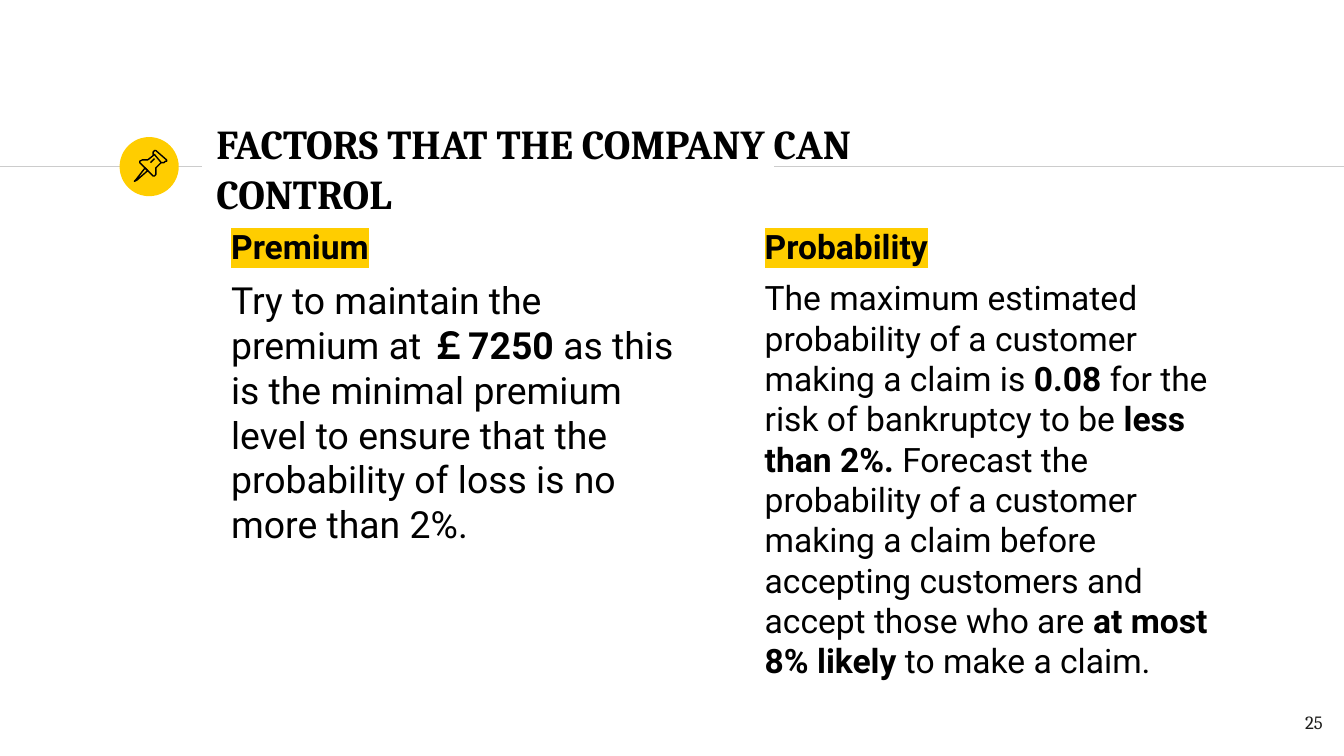
from lxml.etree import SubElement
from pptx import Presentation
from pptx.dml.color import RGBColor
from pptx.enum.shapes import MSO_CONNECTOR, MSO_SHAPE
from pptx.enum.text import MSO_ANCHOR, MSO_AUTO_SIZE, PP_ALIGN
from pptx.oxml.ns import qn
from pptx.util import Inches, Pt

COLORS = {"text": "000000", "accent": "FFCD00", "rule": "CCCCCC", "number": "1D1D1B"}
HEADING_FONT = "Cambria"
BODY_FONT = "Roboto"


class SlideBuilder:
    def __init__(self, slide):
        self.slide = slide

    def color(self, name):
        return RGBColor.from_string(COLORS[name])

    def place(self, shape, left, top, width, height):
        shape.left, shape.top = Inches(left), Inches(top)
        shape.width, shape.height = Inches(width), Inches(height)

    def frame(self, shape, anchor):
        frame = shape.text_frame
        frame.word_wrap = True
        frame.auto_size = MSO_AUTO_SIZE.NONE
        frame.vertical_anchor = anchor
        frame.margin_left = frame.margin_right = Inches(0.1)
        frame.margin_top = frame.margin_bottom = Inches(0.1)
        return frame

    def style(self, paragraph, font_name, size, color="text", bold=None):
        font = paragraph.font
        font.name, font.size, font.bold = font_name, Pt(size), bold
        font.color.rgb = self.color(color)

    def title(self, text, *box):
        shape = self.slide.shapes.title
        self.place(shape, *box)
        paragraph = self.frame(shape, MSO_ANCHOR.MIDDLE).paragraphs[0]
        paragraph.text = text
        paragraph.alignment = PP_ALIGN.LEFT
        self.style(paragraph, HEADING_FONT, 22, bold=True)

    def body_paragraph(self, paragraph, size, runs):
        paragraph.space_before = Pt(6)
        properties = paragraph._p.get_or_add_pPr()
        properties.set("marL", str(Inches(0.11)))
        properties.set("indent", "0")
        SubElement(properties, qn("a:buNone"))
        self.style(paragraph, BODY_FONT, size)
        for text, bold in runs:
            run = paragraph.add_run()
            run.text = text
            run.font.bold = bold

    def column(self, index, left, heading, size, runs):
        shape = self.slide.placeholders[index]
        self.place(shape, left, 1.58, 3.75, 3.53)
        frame = self.frame(shape, MSO_ANCHOR.TOP)
        paragraph = frame.paragraphs[0]
        self.body_paragraph(paragraph, 18, [(heading, True)])
        highlight = SubElement(paragraph.runs[0]._r.get_or_add_rPr(), qn("a:highlight"))
        SubElement(highlight, qn("a:srgbClr")).set("val", COLORS["accent"])
        self.body_paragraph(frame.add_paragraph(), size, runs)

    def rule(self, start, end, y):
        line = self.slide.shapes.add_connector(
            MSO_CONNECTOR.STRAIGHT, Inches(start), Inches(y), Inches(end), Inches(y))
        line.line.color.rgb = self.color("rule")
        line.line.width = Pt(0.75)
        SubElement(line._element.spPr, qn("a:effectLst"))

    def disc(self, left, top, diameter):
        shape = self.slide.shapes.add_shape(
            MSO_SHAPE.OVAL, Inches(left), Inches(top), Inches(diameter), Inches(diameter))
        shape.shadow.inherit = False
        shape.fill.solid()
        shape.fill.fore_color.rgb = self.color("accent")
        shape.line.fill.background()

    def icon(self, outlines):
        group = self.slide.shapes.add_group_shape()
        for points, closed in outlines:
            start, *rest = [(Inches(x), Inches(y)) for x, y in points]
            builder = group.shapes.build_freeform(*start)
            builder.add_line_segments(rest, close=closed)
            shape = builder.convert_to_shape()
            shape.shadow.inherit = False
            shape.fill.background()
            shape.line.color.rgb = self.color("text")
            shape.line.width = Pt(0.75)

    def page_number(self, text, *box):
        shape = self.slide.shapes.add_textbox(*map(Inches, box))
        paragraph = self.frame(shape, MSO_ANCHOR.TOP).paragraphs[0]
        paragraph.text = text
        paragraph.alignment = PP_ALIGN.RIGHT
        self.style(paragraph, HEADING_FONT, 10, "number")


PIN_NEEDLE = [(1.08, 1.25), (1.01, 1.34), (1, 1.35), (1.02, 1.34), (1.1, 1.27)]
PIN_CAP = [(1.15, 1.15), (1.2, 1.21), (1.22, 1.21), (1.23, 1.2), (1.24, 1.2),
           (1.24, 1.19), (1.16, 1.12), (1.15, 1.12), (1.14, 1.13), (1.14, 1.15)]
PIN_BODY = [(1.15, 1.15), (1.1, 1.19), (1.06, 1.19), (1.04, 1.2), (1.04, 1.21),
            (1.14, 1.31), (1.15, 1.31), (1.16, 1.3), (1.16, 1.25), (1.2, 1.21)]
PIN_SHINE = [(1.12, 1.21), (1.15, 1.18)]

presentation = Presentation()
presentation.slide_width = Inches(10)
presentation.slide_height = Inches(10 * 9 / 16)
slide = presentation.slides.add_slide(presentation.slide_layouts[3])
builder = SlideBuilder(slide)

builder.rule(0, 1.5, 1.24)
builder.rule(5.76, 10, 1.24)
builder.disc(0.89, 1.02, 0.44)
builder.icon([(PIN_NEEDLE, True), (PIN_CAP, True), (PIN_BODY, False), (PIN_SHINE, False)])
builder.title("FACTORS THAT THE COMPANY CAN CONTROL", 1.51, 1.01, 6.18, 0.48)
builder.column(1, 1.51, "Premium", 20, [
    ("Try to maintain the premium at ", False),
    ("\uffe17250 ", True),
    ("as this is the minimal premium level to ensure that the probability of loss "
     "is no more than 2%. ", False),
])
builder.column(2, 5.48, "Probability", 18, [
    ("The maximum estimated probability of a customer making a claim is ", False),
    ("0.08", True),
    (" for the risk of bankruptcy to be ", False),
    ("less than 2%. ", True),
    ("Forecast the probability of a customer making a claim before accepting "
     "customers and accept those who are ", False),
    ("at most 8% likely ", True),
    ("to make a claim.", False),
])
builder.page_number("25", 9.34, 5.19, 0.6, 0.43)

presentation.save("out.pptx")
